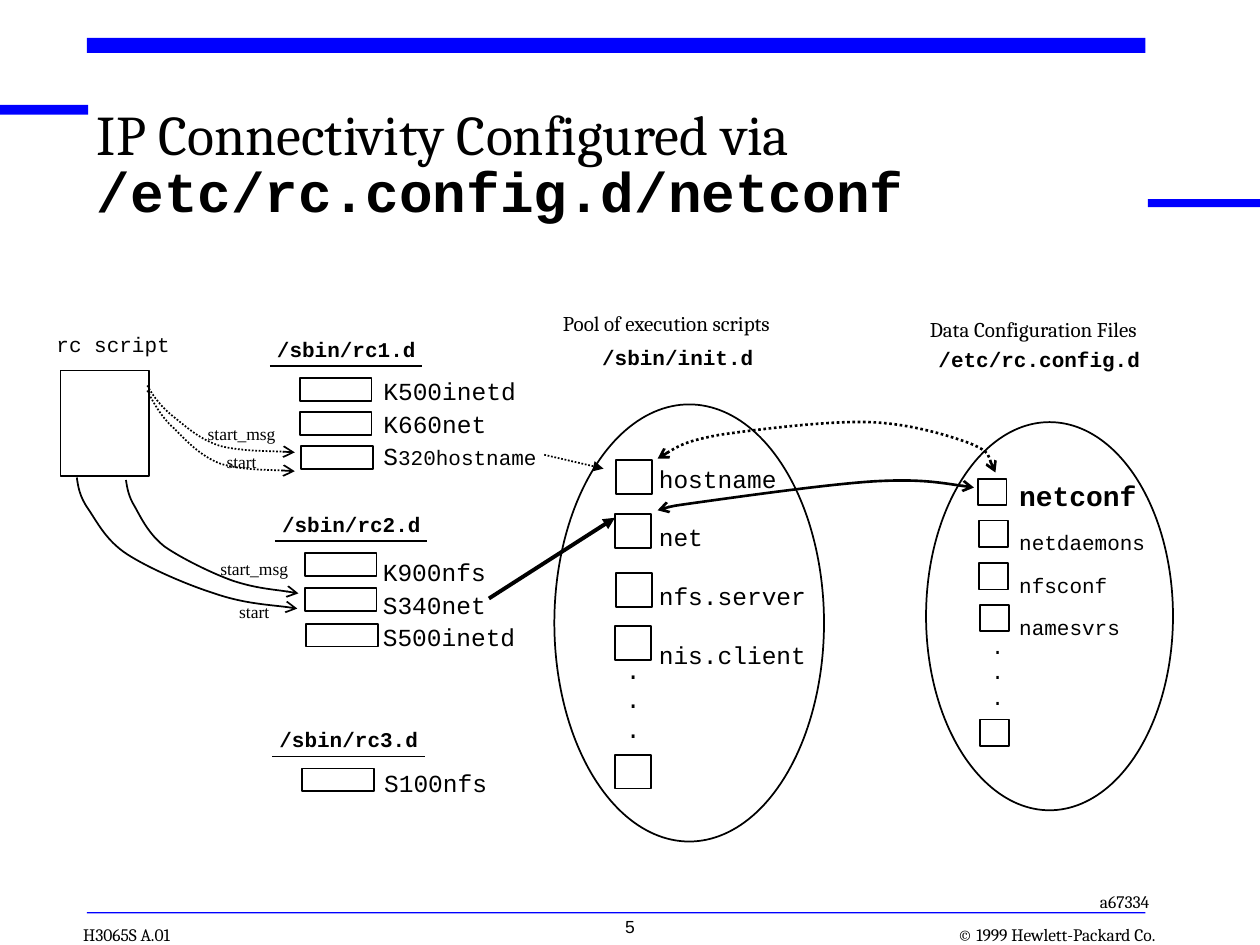
from lxml.etree import SubElement
from pptx import Presentation
from pptx.dml.color import RGBColor
from pptx.enum.dml import MSO_LINE
from pptx.enum.shapes import MSO_CONNECTOR, MSO_SHAPE
from pptx.enum.text import MSO_ANCHOR, MSO_AUTO_SIZE, PP_ALIGN
from pptx.oxml.ns import qn
from pptx.util import Pt

INK = {"black": "000000", "blue": "0000FF", "white": "FFFFFF"}
MONO, SERIF, TIMES, SANS = "Courier New", "Cambria", "Times New Roman", "Arial"
DOTS = MSO_LINE.ROUND_DOT


def color(name):
    return RGBColor.from_string(INK[name])


def label(slide, box, paras, font=MONO, size=12, bold=False, align=PP_ALIGN.LEFT,
          space=None, first=None, wrap=False, pad=True, low=False):
    """Add text; each paragraph is a list of (text, overrides) runs or a plain string.

    space is the line spacing, first the spacing of the first paragraph."""
    frame = slide.shapes.add_textbox(*map(Pt, box)).text_frame
    frame.word_wrap = wrap
    frame.auto_size = MSO_AUTO_SIZE.NONE if wrap else MSO_AUTO_SIZE.SHAPE_TO_FIT_TEXT
    frame.vertical_anchor = MSO_ANCHOR.BOTTOM if low else MSO_ANCHOR.TOP
    if not pad:
        frame.margin_left = frame.margin_right = 0
        frame.margin_top = frame.margin_bottom = 0
    for i, runs in enumerate(paras):
        para = frame.add_paragraph() if i else frame.paragraphs[0]
        para.alignment = align
        para.line_spacing = space if i else first or space
        for text, look in [(runs, {})] if isinstance(runs, str) else runs:
            run = para.add_run()
            run.text = text
            run.font.name = look.get("font", font)
            run.font.size = Pt(look.get("size", size))
            run.font.bold = look.get("bold", bold)
            run.font.color.rgb = color("black")


def bar(slide, box):
    shape = slide.shapes.add_shape(MSO_SHAPE.RECTANGLE, *map(Pt, box))
    shape.shadow.inherit = False
    shape.fill.solid()
    shape.fill.fore_color.rgb = color("blue")
    shape.line.fill.background()


def frame(slide, box, kind=MSO_SHAPE.RECTANGLE, filled=True):
    shape = slide.shapes.add_shape(kind, *map(Pt, box))
    shape.shadow.inherit = False
    if filled:
        shape.fill.solid()
        shape.fill.fore_color.rgb = color("white")
    else:
        shape.fill.background()
    stroke(shape.line)


def stroke(line, width=1, dash=None, head=None, tail=None):
    line.color.rgb = color("black")
    line.width = Pt(width)
    if dash:
        line.dash_style = dash
    for tag, kind in (("a:headEnd", head), ("a:tailEnd", tail)):
        if kind:
            SubElement(line._get_or_add_ln(), qn(tag), type=kind)


def rule(slide, start, end, **look):
    link = slide.shapes.add_connector(MSO_CONNECTOR.STRAIGHT, *map(Pt, start + end))
    stroke(link.line, **look)
    SubElement(link._element.spPr, qn("a:effectLst"))


def curve(slide, points, **look):
    """Draw a Bezier path: a start, then two handles and an end per segment."""
    spots = [(Pt(x), Pt(y)) for x, y in points]
    pen = slide.shapes.build_freeform(*spots[0])
    pen.add_line_segments(spots[1:], close=False)
    shape = pen.convert_to_shape()
    steps = list(shape._element.iter(qn("a:lnTo")))
    for i in range(0, len(steps), 3):
        bend = SubElement(steps[i].getparent(), qn("a:cubicBezTo"))
        for step in steps[i:i + 3]:
            bend.append(step[0])
            step.getparent().remove(step)
    shape.shadow.inherit = False
    shape.fill.background()
    stroke(shape.line, tail="arrow", **look)


def level(slide, x, y, name, slots, box, items):
    """Add one run level: underlined heading, its slots and their labels."""
    label(slide, (x, y, 93.6, 21.6), [name], bold=True)
    rule(slide, (x + 3, y + 20.5), (x + 90, y + 20.5))
    for left, top in slots:
        frame(slide, (left, top, 41, 13))
    label(slide, box, items, size=14, space=1.1)


def pool(slide, oval, slots, size):
    frame(slide, oval, MSO_SHAPE.OVAL, filled=False)
    for spot in slots:
        frame(slide, spot + size)


def master(slide):
    for box in ((0, 60, 50.4, 5.5), (49.7, 21.6, 604.8, 8.6),
                (655.9, 113.8, 64.1, 4.5), (49.7, 521.2, 604.8, 0.8)):
        bar(slide, box)
    small = dict(font=SERIF, size=10)
    label(slide, (529.2, 527.8, 131, 12.2), ["© 1999 Hewlett-Packard Co."],
          align=PP_ALIGN.RIGHT, pad=False, low=True, **small)
    label(slide, (47.5, 527.8, 59, 12.2), ["H3065S A.01"], pad=False, low=True, **small)
    label(slide, (615.6, 505.4, 48.2, 19.4), ["a67334"], align=PP_ALIGN.RIGHT, **small)
    label(slide, (285.1, 519.8, 149.8, 23.8), ["5"], font=SANS, size=10,
          align=PP_ALIGN.CENTER, wrap=True)
    label(slide, (55.4, 62.6, 581, 48.2),
          [[("IP Connectivity Configured via ", {}),
            ("/etc/rc.config.d/netconf", {"font": MONO, "bold": True})]],
          font=SERIF, size=32, space=0.85, wrap=True, pad=False)


def levels(slide):
    label(slide, (25.2, 185.8, 79.2, 21.6), ["rc script"])
    frame(slide, (34.6, 211.7, 50.4, 60.5), filled=False)
    level(slide, 151.2, 188.6, "/sbin/rc1.d",
          [(171.4, 216), (171.4, 235.4), (172.1, 254.9)], (212, 209.8, 105, 62.6),
          ["K500inetd", "K660net", [("S", {}), ("320hostname", {"size": 12})]])
    level(slide, 154.1, 288.7, "/sbin/rc2.d",
          [(174.2, 316.1), (174.2, 336.2), (175, 356.4)], (211.7, 313.2, 91, 62.6),
          ["K900nfs", "S340net", "S500inetd"])
    level(slide, 152.6, 411.8, "/sbin/rc3.d", [(172.8, 439.2)],
          (212.4, 433.4, 74, 25.9), ["S100nfs"])
    for x, y, gap in ((122.4, 254.2, 15.9), (129.6, 339.8, 24.4)):
        label(slide, (x, y, 31.7, 19.4), ["start"], font=TIMES, size=10)
        label(slide, (x - 10.8, y - gap, 53.3, 19.4), ["start_msg"], font=TIMES, size=10)


def pools(slide):
    label(slide, (314.6, 173.8, 151.9, 21.6), ["Pool of execution scripts"], font=SERIF)
    label(slide, (337, 193.3, 100.8, 21.6), ["/sbin/init.d"], bold=True)
    pool(slide, (316.8, 231.1, 154.1, 249.8),
         [(352, 262.8), (351.4, 293.8), (352, 327.6), (351.4, 357.8), (351.4, 431.3)],
         (20.5, 19.4))
    label(slide, (369.4, 261.4, 98.6, 125.3),
          ["hostname", "net", "nfs.server", "nis.client"], size=14, space=2, first=1)
    label(slide, (350.6, 370.8, 22.3, 57.6), ["."] * 3, size=14)

    label(slide, (524.2, 177.1, 149.8, 21.6), ["Data Configuration Files"], font=SERIF)
    label(slide, (529.2, 194.7, 129.6, 21.6), ["/etc/rc.config.d"], bold=True)
    pool(slide, (529.2, 241.2, 141.1, 221.8),
         [(558.7, 273.6), (559.4, 297.4), (559.4, 321.8), (560.2, 345.6), (560.2, 411.1)],
         (16.5, 15.1))
    label(slide, (575.3, 256.3, 87, 113),
          [[("netconf", {"size": 16, "bold": True})], "netdaemons", "nfsconf", "namesvrs"],
          space=1.7)
    label(slide, (559.4, 358.6, 21.6, 50.4), ["."] * 3)


def links(slide):
    curve(slide, [(72, 274.3), (72.7, 278.6), (73.4, 283.7), (77, 289.4),
                  (80.6, 295.9), (85, 305.3), (94.3, 312.5), (103.7, 319),
                  (121, 327.6), (133.2, 331.9), (146.2, 336.2), (164.2, 337.7),
                  (170.6, 339.1)])
    curve(slide, [(43.9, 272.9), (44.6, 277.9), (45.4, 283.7), (50.4, 290.9),
                  (55.4, 298.1), (60.5, 308.9), (72.7, 316.8), (85, 324.7),
                  (106.6, 334.1), (122.4, 339.1), (139, 344.9), (162, 346.3),
                  (169.9, 347.8)])
    curve(slide, [(84.2, 220.3), (87.8, 226.8), (92.2, 232.6), (99.4, 238.3),
                  (106.6, 244.1), (114.5, 251.3), (126, 254.9), (137.5, 257.8),
                  (161.3, 257.8), (168.5, 258.5)], dash=DOTS)
    curve(slide, [(84.2, 223.2), (87.8, 230.4), (92.2, 238.3), (99.4, 244.8),
                  (106.6, 252), (114.5, 260.6), (126, 265), (137.5, 268.6),
                  (161.3, 268.6), (168.5, 269.3)], dash=DOTS)
    curve(slide, [(375.8, 262.1), (383.8, 257), (391.7, 252), (411.8, 248.4),
                  (432, 245.5), (472.3, 240.5), (496.1, 241.2), (519.8, 241.9),
                  (542.9, 249.1), (554.4, 253.4), (566.6, 258.5), (566.6, 267.1),
                  (568.8, 270)], width=1.5, dash=DOTS, head="arrow")
    curve(slide, [(375.8, 291.6), (378.7, 290.2), (382.3, 289.4), (402.5, 286.6),
                  (423.4, 283.7), (474.5, 276.5), (500.4, 275), (526.3, 273.6),
                  (541.4, 276.5), (556.6, 278.6)], width=1.5, head="arrow")
    rule(slide, (279.4, 342), (351.4, 295.9), width=2.25, tail="triangle")
    rule(slide, (311, 259.9), (344.9, 267.8), dash=DOTS, tail="triangle")


def main():
    deck = Presentation()
    deck.slide_width, deck.slide_height = Pt(720), Pt(540)
    slide = deck.slides.add_slide(deck.slide_layouts[6])
    for part in (master, levels, pools, links):
        part(slide)
    deck.save("out.pptx")


if __name__ == "__main__":
    main()
